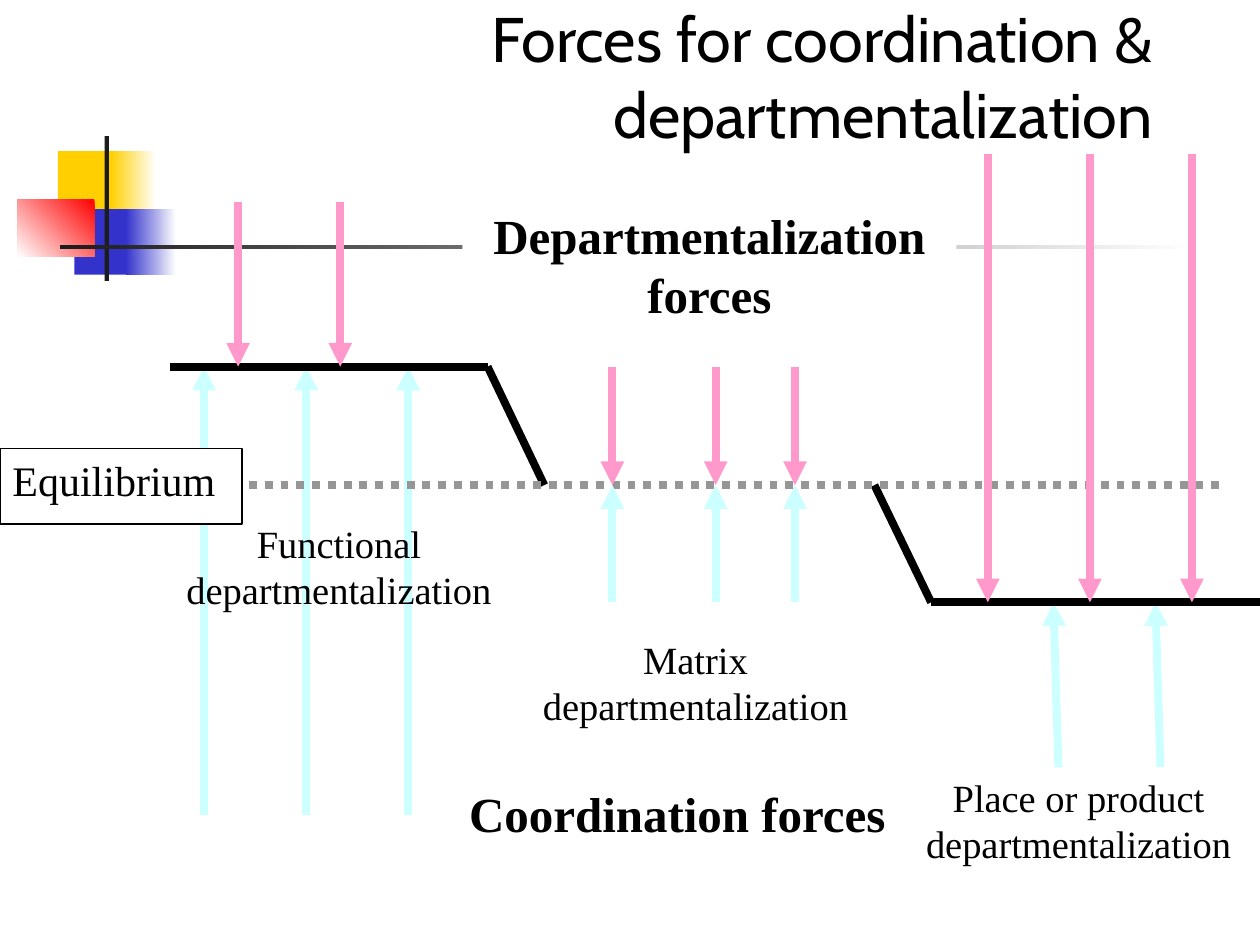
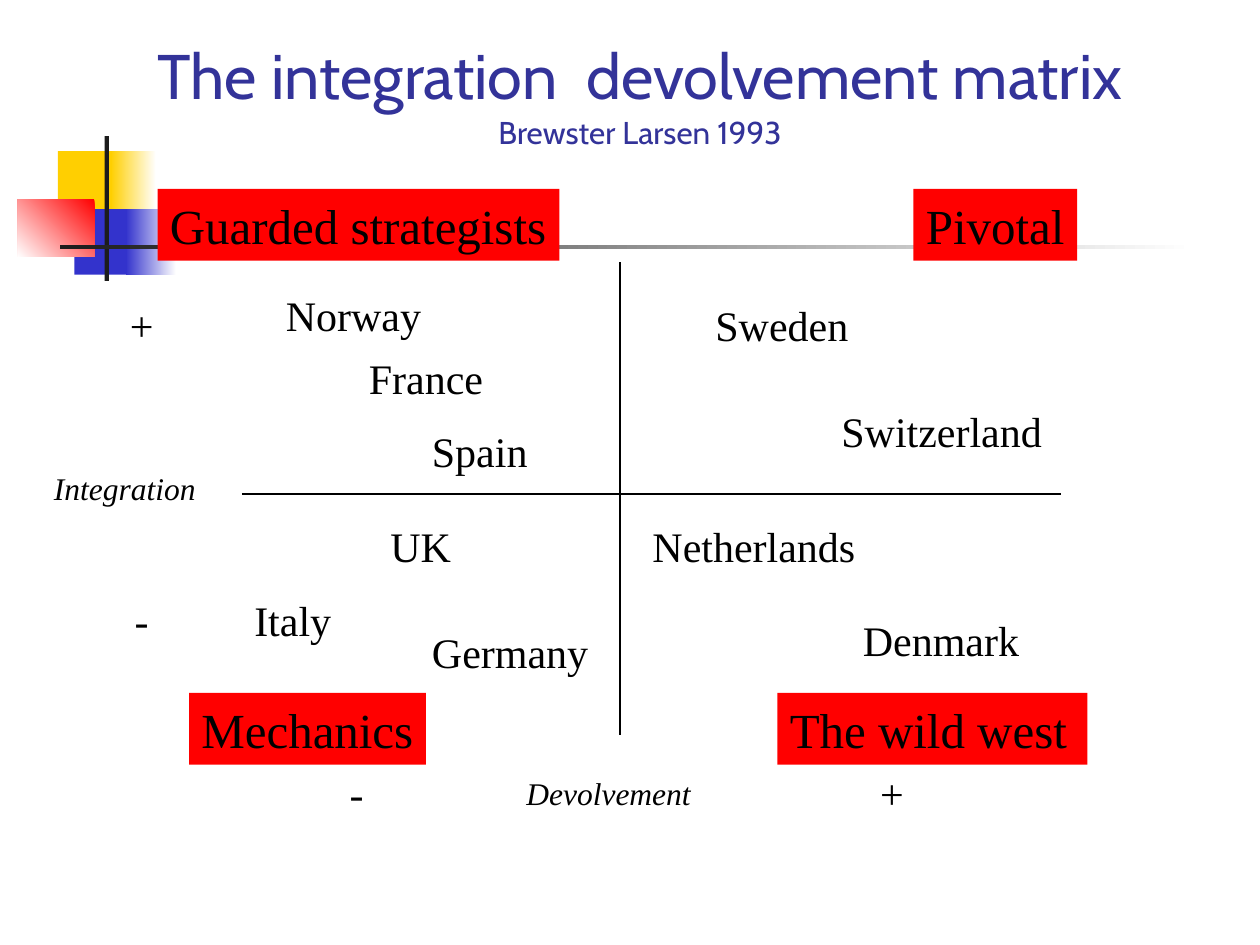
import lxml.etree
import pptx
import pptx.dml.color
import pptx.enum.dml
import pptx.enum.shapes
import pptx.enum.text
import pptx.oxml.ns
import pptx.util

RGB = pptx.dml.color.RGBColor
ALIGN = pptx.enum.text.PP_ALIGN
ANCHOR = pptx.enum.text.MSO_ANCHOR
LEFT, MID, RIGHT = ALIGN.LEFT, ALIGN.CENTER, ALIGN.RIGHT

BLACK = RGB(0x00, 0x00, 0x00)
WHITE = RGB(0xFF, 0xFF, 0xFF)
GOLD = RGB(0xFF, 0xCF, 0x01)
BLUE = RGB(0x33, 0x33, 0xCC)
NAVY = RGB(0x33, 0x33, 0x99)
RED = RGB(0xFF, 0x00, 0x00)
COAL = RGB(0x1C, 0x1C, 0x1C)
GREY = RGB(0x96, 0x96, 0x96)
PINK = RGB(0xFF, 0x99, 0xCC)
CYAN = RGB(0xCC, 0xFF, 0xFF)

COLS, ROWS = 100, 75
HEAD, BODY = "Cabin", "Times New Roman"


class Deck:
    def __init__(self):
        self.prs = pptx.Presentation()
        self.prs.slide_width = pptx.util.Inches(10)
        self.prs.slide_height = pptx.util.Inches(7.5)
        self.slide = None

    def col(self, n):
        return round(self.prs.slide_width * n / COLS)

    def row(self, n):
        return round(self.prs.slide_height * n / ROWS)

    def area(self, x, y, w, h):
        return self.col(x), self.row(y), self.col(w), self.row(h)

    def start(self, parts, x, align, color):
        self.slide = self.prs.slides.add_slide(self.prs.slide_layouts[5])
        self.motif()
        title = self.slide.shapes.title
        title.left, title.top, title.width, title.height = self.area(x, 0, 85, 12.5)
        self.letter(title, parts, align, color, HEAD, anchor=ANCHOR.BOTTOM)

    def motif(self):
        self.rect(4.6, 12, 4.8, 5.2, GOLD)
        self.fade(8.8, 12, 3.6, 5.2, WHITE, GOLD)
        self.rect(5.9, 16.6, 4.6, 5.2, BLUE)
        self.fade(10, 16.6, 4, 5.2, WHITE, BLUE)
        self.fade(1.4, 15.8, 6.1, 4.6, RED, WHITE, 225)
        self.rect(8.3, 10.8, 0.35, 11.5, COAL)
        self.fade(4.8, 19.45, 90, 0.35, WHITE, COAL)

    def rect(self, x, y, w, h, fill, edge=None):
        kind = pptx.enum.shapes.MSO_SHAPE.RECTANGLE
        shape = self.slide.shapes.add_shape(kind, *self.area(x, y, w, h))
        shape.shadow.inherit = False
        shape.fill.solid()
        shape.fill.fore_color.rgb = fill
        if edge is None:
            shape.line.fill.background()
        else:
            shape.line.color.rgb = edge
            shape.line.width = pptx.util.Pt(0.75)
        return shape

    def fade(self, x, y, w, h, first, last, angle=180):
        fill = self.rect(x, y, w, h, first).fill
        fill.gradient()
        fill.gradient_angle = angle
        for stop, color in zip(fill.gradient_stops, (first, last)):
            stop.color.rgb = color

    def letter(self, shape, parts, align=LEFT, color=BLACK, face=BODY,
               bold=False, slant=False, wrap=True, anchor=ANCHOR.TOP):
        frame = shape.text_frame
        frame.word_wrap = wrap
        frame.auto_size = pptx.enum.text.MSO_AUTO_SIZE.NONE
        frame.vertical_anchor = anchor
        frame.margin_left = frame.margin_right = pptx.util.Inches(0.1)
        frame.margin_top = frame.margin_bottom = pptx.util.Inches(0.05)
        para = frame.paragraphs[0]
        para.alignment = align
        for text, size in parts:
            run = para.add_run()
            run.text = text
            font = run.font
            font.name, font.size = face, pptx.util.Pt(size)
            font.bold, font.italic = bold, slant
            font.color.rgb = color

    def panel(self, text, x, y, w, h, size, fill=WHITE, edge=None, **style):
        self.letter(self.rect(x, y, w, h, fill, edge), [(text, size)], **style)

    def label(self, text, x, y, w, h, size, **style):
        box = self.slide.shapes.add_textbox(*self.area(x, y, w, h))
        self.letter(box, [(text, size)], **style)

    def line(self, x1, y1, x2, y2, color=BLACK, width=4.5, dots=False, arrow=False):
        kind = pptx.enum.shapes.MSO_CONNECTOR.STRAIGHT
        link = self.slide.shapes.add_connector(
            kind, self.col(x1), self.row(y1), self.col(x2), self.row(y2))
        link.line.color.rgb = color
        link.line.width = pptx.util.Pt(width)
        if dots:
            link.line.dash_style = pptx.enum.dml.MSO_LINE.ROUND_DOT
        qn = pptx.oxml.ns.qn
        props = link.element.spPr
        if arrow:
            lxml.etree.SubElement(props.find(qn("a:ln")), qn("a:tailEnd"), type="triangle")
        lxml.etree.SubElement(props, qn("a:effectLst"))

    def arrows(self, spots, start, end, color, lean=0):
        for x in spots:
            self.line(x, start, x - lean, end, color, arrow=True)


def forces(deck):
    deck.start([("Forces for coordination & departmentalization", 36)], 7.5, RIGHT, BLACK)
    high, even, low = 29.1, 38.5, 47.8
    step = 8.1
    mid = (48.6, 56.8, 63.1)

    deck.arrows([16.2 + step * i for i in range(3)], 64.7, high, CYAN)
    deck.arrows([84 + step * i for i in range(2)], 60.9, low, CYAN, lean=0.4)

    deck.panel("Departmentalization forces", 36.7, 15.8, 39.2, 13.2, 28, align=MID, bold=True)
    deck.panel("Coordination forces", 35, 61.7, 37.5, 10.3, 28, align=MID, bold=True)
    deck.panel("Matrix departmentalization", 40.8, 50, 28.8, 10.3, 22, align=MID)
    deck.panel("Place or product departmentalization", 71.2, 60.9, 28.8, 14.1, 22, align=MID)

    deck.line(13.5, high, 38.7, high)
    deck.line(38.7, high, 43.2, even)
    deck.line(69.4, even, 73.9, low)
    deck.line(73.9, low, COLS, low)
    deck.line(13.5, even, 97.3, even, GREY, dots=True)

    deck.arrows([18.9 + step * i for i in range(2)], 16, high, PINK)
    deck.arrows([78.4 + step * i for i in range(3)], 12.2, low, PINK)
    deck.arrows(mid, high, even, PINK)
    deck.arrows(mid, low, even, CYAN)

    deck.panel("Equilibrium", 0, 35.6, 19.2, 6, 24, edge=BLACK)
    deck.label("Functional departmentalization", 12.5, 40.8, 28.8, 10.3, 22, align=MID)


def matrix(deck):
    deck.start([("The integration  devolvement matrix", 36), (" ", 40),
                ("Brewster Larsen 1993", 18)], 8.3, MID, NAVY)
    deck.line(49.2, 20.8, 49.2, 58.3, width=0.75)
    deck.line(19.2, 39.2, 84.2, 39.2, width=0.75)

    for text, x, y in (("Devolvement", 40.8, 60.9), ("Integration", 3.3, 36.7)):
        deck.label(text, x, y, 15.8, 4, 18, slant=True)

    for sign, x, y in (("-", 25.8, 60.4), ("-", 8.75, 46.7),
                       ("+", 68.3, 60.4), ("+", 8.75, 23.3)):
        deck.label(sign, x, y, 5, 5, 24, align=MID)

    for text, x, y, w in (("Guarded strategists", 12.5, 15, 31.9),
                          ("Pivotal", 72.5, 15, 13),
                          ("The wild west", 61.7, 55, 24.6),
                          ("Mechanics", 15, 55, 18.8)):
        deck.panel(text, x, y, w, 5.7, 28, fill=RED, wrap=False)

    for land, x, y in (("Norway", 21.7, 22.5), ("France", 28.3, 27.5),
                       ("Spain", 33.3, 33.3), ("Sweden", 55.8, 23.3),
                       ("Switzerland", 65.8, 31.7), ("UK", 30, 40.8),
                       ("Italy", 19.2, 46.7), ("Germany", 33.3, 49.2),
                       ("Netherlands", 50.8, 40.8), ("Denmark", 67.5, 48.3)):
        deck.label(land, x, y, 20, 5, 24)


def main():
    deck = Deck()
    forces(deck)
    matrix(deck)
    deck.prs.save("out.pptx")


if __name__ == "__main__":
    main()
